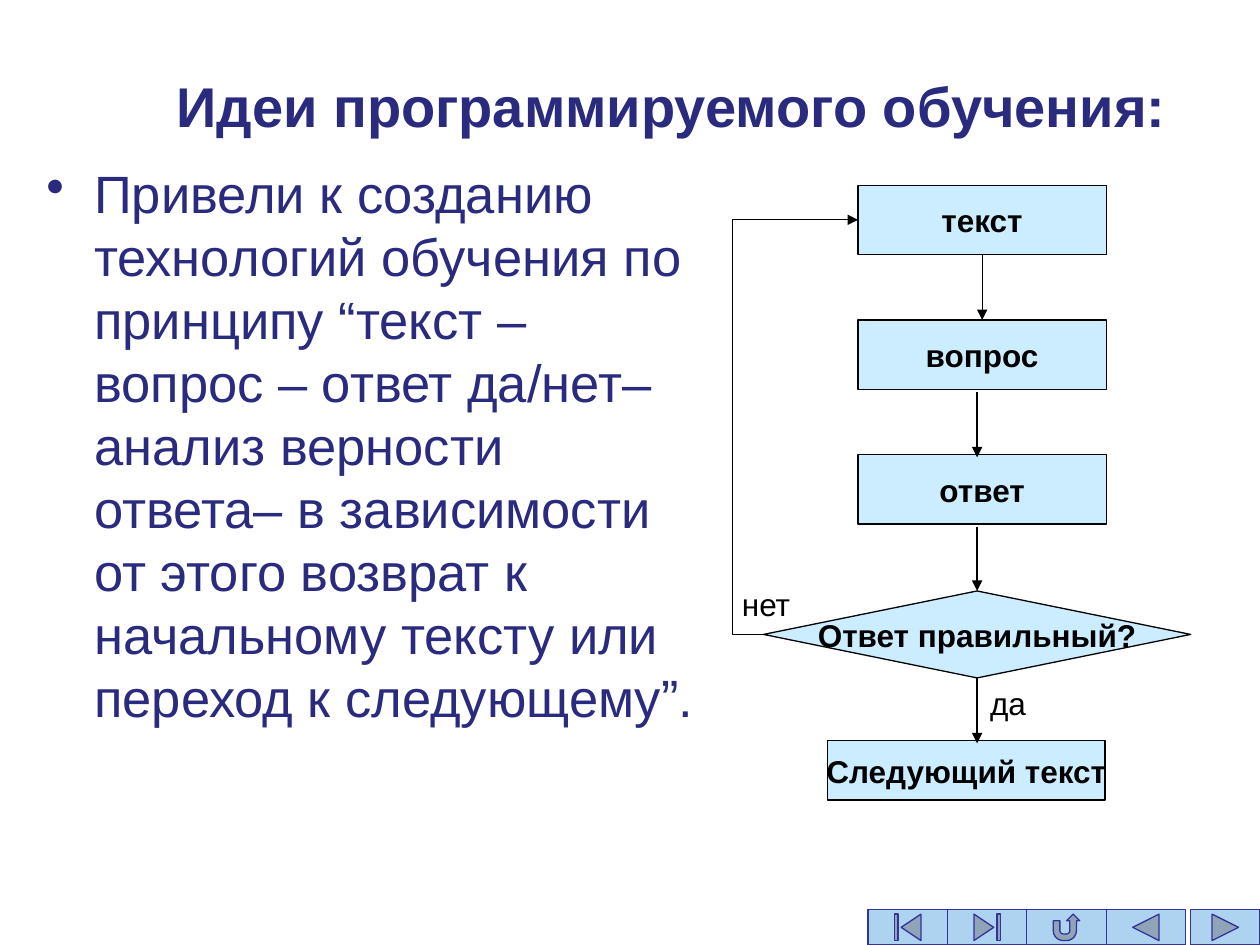
"""Build a slide on programmed learning with its flow chart and navigation buttons."""
from lxml.etree import SubElement as Sub
from pptx import Presentation as Deck
from pptx.dml.color import RGBColor as Rgb
from pptx.enum.shapes import MSO_CONNECTOR as Link, MSO_SHAPE as Form
from pptx.enum.text import MSO_ANCHOR as Anchor, PP_ALIGN as Align
from pptx.oxml.ns import qn
from pptx.util import Inches, Pt

NAVY = Rgb(0x2A, 0x2A, 0x7E)
PALE = Rgb(0xCC, 0xEC, 0xFF)
BLACK = Rgb(0, 0, 0)
SKY = Rgb(0x7D, 0xB8, 0xE9)
INDIGO = Rgb(0x33, 0x33, 0x99)


def write(frame, text, size=18, color=BLACK, bold=False, align=Align.LEFT,
          anchor=Anchor.TOP, wrap=True, bullet=None, indent=0, pitch=None):
    frame.word_wrap = wrap
    frame.vertical_anchor = anchor
    par = frame.paragraphs[0]
    par.text = text
    par.alignment = align
    if pitch:
        par.line_spacing = Pt(pitch)
    if bullet:
        props = par._p.get_or_add_pPr()
        props.set("marL", str(Inches(indent)))
        props.set("indent", str(-Inches(indent)))
        tint = Sub(props, qn("a:buClr"))
        Sub(tint, qn("a:srgbClr"), val=str(color))
        Sub(props, qn("a:buChar"), char=bullet)
    font = par.font
    font.name, font.size, font.bold = "Arial", Pt(size), bold
    font.color.rgb = color


class Page:
    """Draw styled parts on a slide, placed on a grid of 100 columns by 75 rows."""

    def __init__(self, deck):
        self.slide = deck.slides.add_slide(deck.slide_layouts[5])
        self.shapes = self.slide.shapes
        self.col = deck.slide_width / 100
        self.row = deck.slide_height / 75

    def grid(self, *spots):
        units = (self.col, self.row)
        return [round(spot * units[i % 2]) for i, spot in enumerate(spots)]

    def title(self, text, *area):
        head = self.shapes.title
        head.left, head.top, head.width, head.height = self.grid(*area)
        write(head.text_frame, text, size=32, color=NAVY, bold=True,
              anchor=Anchor.MIDDLE)

    def text(self, text, *area, **style):
        box = self.shapes.add_textbox(*self.grid(*area))
        write(box.text_frame, text, **style)

    def shape(self, form, area, fill, line):
        item = self.shapes.add_shape(form, *self.grid(*area))
        item.shadow.inherit = False
        item.fill.solid()
        item.fill.fore_color.rgb = fill
        item.line.color.rgb = line
        item.line.width = Pt(0.75)
        return item

    def step(self, text, *area, form=Form.FLOWCHART_PROCESS):
        item = self.shape(form, area, PALE, BLACK)
        write(item.text_frame, text, bold=True, align=Align.CENTER,
              anchor=Anchor.MIDDLE, wrap=False)
        return item

    def arrow(self, *ends, kind=Link.STRAIGHT, start=None, stop=None):
        line = self.shapes.add_connector(kind, *self.grid(*ends))
        if start:
            line.begin_connect(start, 2)
        if stop:
            line.end_connect(stop, 0)
        line.line.color.rgb = BLACK
        line.line.width = Pt(0.75)
        Sub(line.line._get_or_add_ln(), qn("a:tailEnd"), type="triangle")
        Sub(line._element.spPr, qn("a:effectLst"))
        return line

    def bend(self, *ends, share):
        line = self.arrow(*ends, kind=Link.ELBOW)
        guides = line._element.spPr.find(qn("a:prstGeom")).get_or_add_avLst()
        Sub(guides, qn("a:gd"), name="adj1", fmla=f"val {round(share * 100000)}")

    def button(self, form, *area):
        item = self.shape(form, area, SKY, INDIGO)
        tint = item._element.spPr.find(qn("a:solidFill")).find(qn("a:srgbClr"))
        Sub(tint, qn("a:alpha"), val="62000")


def main():
    deck = Deck()
    deck.slide_width, deck.slide_height = Inches(10), Inches(7.5)
    page = Page(deck)
    page.title("Идеи программируемого обучения:", 13, 6.8, 82.1, 3.1)
    page.text("Привели к созданию технологий обучения по принципу “текст – "
              "вопрос – ответ да/нет–анализ верности ответа– в зависимости "
              "от этого возврат к начальному тексту или переход к следующему”.",
              2.7, 12.3, 53.6, 53.5, size=30, color=NAVY, bullet="•",
              indent=0.38, pitch=36)

    last = page.step("Следующий текст", 65.7, 58.8, 22, 4.7)
    first, ask, reply = [
        page.step(word, 68.1, 14.7 + 10.7 * i, 19.7, 5.5)
        for i, word in enumerate(("текст", "вопрос", "ответ"))]
    test = page.step("Ответ правильный?", 60.6, 46.9, 33.9, 6.9,
                     form=Form.FLOWCHART_DECISION)

    mid = 77.55
    page.arrow(mid, 20.2, mid, 25.4, start=first, stop=ask)
    page.arrow(mid, 31.1, mid, 36.3)
    page.arrow(mid, 41.8, mid, 46.9, stop=test)
    page.arrow(mid, 53.8, mid, 59, start=test)
    page.text("да", 77.6, 53.8, 7.7, 4)
    page.text("нет", 57.9, 45.9, 7.7, 4)
    page.bend(60.6, 50.35, 68.1, 17.45, share=-0.33)

    forms = (Form.ACTION_BUTTON_BEGINNING, Form.ACTION_BUTTON_END,
             Form.ACTION_BUTTON_RETURN, Form.ACTION_BUTTON_BACK_OR_PREVIOUS)
    for i, form in enumerate(forms):
        page.button(form, 68.9 + 6.3 * i, 72.2, 6.3, 2.8)
    page.button(Form.ACTION_BUTTON_FORWARD_OR_NEXT, 94.5, 72.2, 5.5, 2.8)
    deck.save("out.pptx")


if __name__ == "__main__":
    main()
